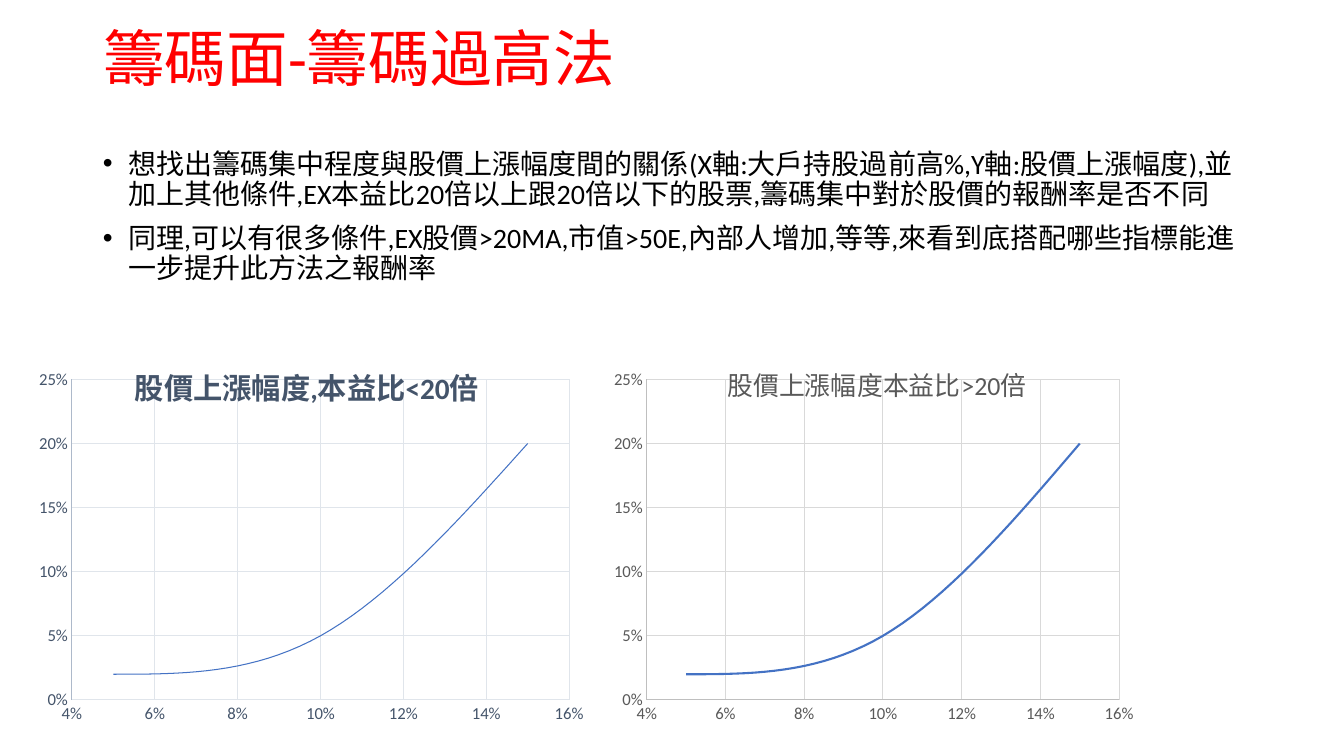
from dataclasses import dataclass

from lxml import etree
from pptx import Presentation
from pptx.chart.data import XyChartData
from pptx.dml.color import RGBColor
from pptx.enum.chart import XL_CHART_TYPE as ChartType, XL_TICK_MARK as Tick
from pptx.enum.text import MSO_ANCHOR as Anchor, PP_ALIGN as Align
from pptx.oxml import parse_xml
from pptx.oxml.ns import nsdecls, qn
from pptx.util import Pt

# Content
HEADING = "籌碼面-籌碼過高法"
POINTS = [
    "想找出籌碼集中程度與股價上漲幅度間的關係(X軸:大戶持股過前高%,Y軸:股價上漲幅度),"
    "並加上其他條件,EX本益比20倍以上跟20倍以下的股票,籌碼集中對於股價的報酬率是否不同",
    "同理,可以有很多條件,EX股價>20MA,市值>50E,內部人增加,等等,"
    "來看到底搭配哪些指標能進一步提升此方法之報酬率",
]
RETURNS = [(0.05, 0.02), (0.10, 0.05), (0.15, 0.20)]
CHARTS = [
    dict(title="股價上漲幅度,本益比<20倍", box=(39, 338, 551, 388), title_at=(0.16, 0.05),
         title_size=21, bold=True, ink="44546A", grid="E0E5EB",
         x_line="E0E5EB", y_line="ADB9CA", curve_width=0.75),
    dict(title="股價上漲幅度本益比>20倍", box=(614, 338, 525, 388), title_at=(0.2, 0.05),
         title_size=18.6, bold=False, ink="595959", grid="D9D9D9",
         x_line="BFBFBF", y_line="BFBFBF", curve_width=1.5),
]
PLOT_AREA = dict(x=0.055, y=0.107, w=0.907, h=0.826)


@dataclass(frozen=True)
class Theme:
    font: str = "Calibri"
    heading: str = "FF0000"
    body: str = "000000"
    curve: str = "4472C4"
    heading_size: int = 44
    body_size: int = 20
    axis_size: int = 12
    thin: float = 0.75


THEME = Theme()
EMU_PER_PX = 914400 / 100.8


def px(*lengths):
    return [round(length * EMU_PER_PX) for length in lengths]


def style_font(font, size, color, bold=False):
    font.name, font.size, font.bold = THEME.font, Pt(size), bold
    font.color.rgb = RGBColor.from_string(color)


def style_line(line, color, width=THEME.thin):
    line.color.rgb = RGBColor.from_string(color)
    line.width = Pt(width)


def write(frame, lines, *, size, color, bold=False, spacing=None, gap=0, bullet=False):
    """Fill a text frame, one paragraph per line."""
    for index, line in enumerate(lines):
        paragraph = frame.add_paragraph() if index else frame.paragraphs[0]
        if bullet:
            props = paragraph._p.get_or_add_pPr()
            props.set("marL", "228600")
            props.set("indent", "-228600")
            etree.SubElement(props, qn("a:buFont")).set("typeface", "Arial")
            etree.SubElement(props, qn("a:buChar")).set("char", "•")
        paragraph.alignment = Align.LEFT
        if spacing:
            paragraph.line_spacing = spacing
        if index:
            paragraph.space_before = Pt(gap)
        run = paragraph.add_run()
        run.text = line
        style_font(run.font, size, color, bold)


def place(element, index, inner=False, **fractions):
    """Give a chart part a fixed place, as fractions of the chart."""
    for old in element.findall(qn("c:layout")):
        element.remove(old)
    target = '<c:layoutTarget val="inner"/>' if inner else ""
    modes = "".join(f'<c:{key}Mode val="edge"/>' for key in "xy")
    values = "".join(f'<c:{key} val="{value}"/>' for key, value in fractions.items())
    element.insert(index, parse_xml(
        f'<c:layout {nsdecls("c")}><c:manualLayout>{target}{modes}{values}'
        "</c:manualLayout></c:layout>"))


def style_axis(axis, low, high, step, line, look):
    axis.minimum_scale, axis.maximum_scale, axis.major_unit = low, high, step
    axis.major_tick_mark = axis.minor_tick_mark = Tick.NONE
    axis.has_major_gridlines = True
    style_line(axis.major_gridlines.format.line, look["grid"])
    style_line(axis.format.line, line)
    style_font(axis.tick_labels.font, THEME.axis_size, look["ink"])
    axis.tick_labels.number_format = "0%"
    axis.tick_labels.number_format_is_linked = False


def add_return_chart(slide, look):
    data = XyChartData()
    returns = data.add_series("Series 1")
    for holding, rise in RETURNS:
        returns.add_data_point(holding, rise)
    chart = slide.shapes.add_chart(
        ChartType.XY_SCATTER_SMOOTH_NO_MARKERS, *px(*look["box"]), data).chart
    chart.has_legend = False
    style_font(chart.font, 10, THEME.body)

    chart.has_title = True
    title = chart.chart_title
    write(title.text_frame, [look["title"]], size=look["title_size"],
          color=look["ink"], bold=look["bold"])
    title.include_in_layout = True
    place(title._element, 1, **dict(zip("xy", look["title_at"])))
    place(chart.element.find(".//" + qn("c:plotArea")), 0, inner=True, **PLOT_AREA)

    style_axis(chart.category_axis, 0.04, 0.16, 0.02, look["x_line"], look)
    style_axis(chart.value_axis, 0, 0.25, 0.05, look["y_line"], look)
    plot = chart.plots[0]
    plot.vary_by_categories = False
    curve = plot.series[0]
    style_line(curve.format.line, THEME.curve, look["curve_width"])
    for smooth in curve._element.findall(qn("c:smooth")):
        smooth.set("val", "1")


def main():
    deck = Presentation()
    deck.slide_width, deck.slide_height = px(1344, 756)
    slide = deck.slides.add_slide(deck.slide_layouts[5])

    # Heading
    heading = slide.shapes.title
    heading.left, heading.top, heading.width, heading.height = px(93, 7, 1159, 110)
    heading.text_frame.vertical_anchor = Anchor.MIDDLE
    write(heading.text_frame, [HEADING], size=THEME.heading_size,
          color=THEME.heading, spacing=0.9)

    # Bullet points
    points = slide.shapes.add_textbox(*px(93, 145, 1159, 190)).text_frame
    points.word_wrap = True
    write(points, POINTS, size=THEME.body_size, color=THEME.body,
          spacing=0.9, gap=10, bullet=True)

    # Charts
    for look in CHARTS:
        add_return_chart(slide, look)

    deck.save("out.pptx")


if __name__ == "__main__":
    main()
